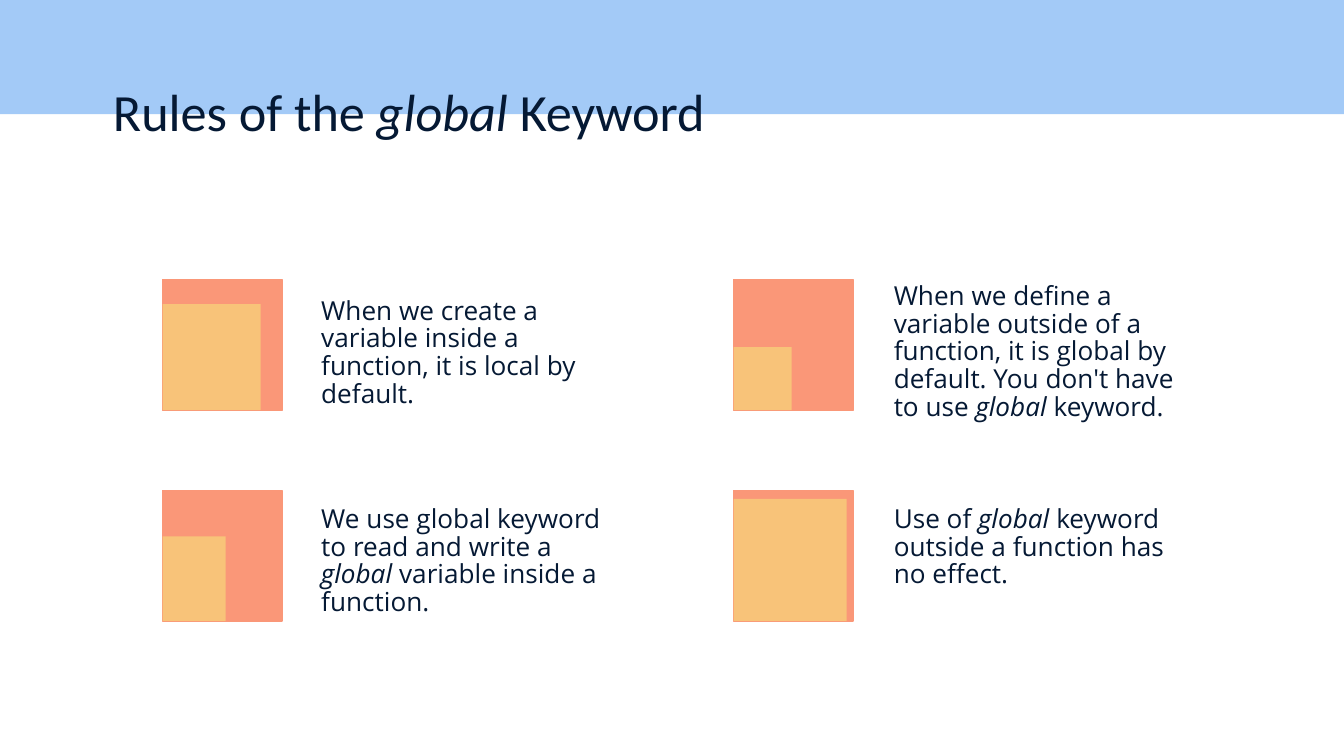
from pptx import Presentation
from pptx.dml.color import RGBColor
from pptx.enum.shapes import MSO_SHAPE as SHAPE
from pptx.enum.text import MSO_ANCHOR as ANCHOR, MSO_AUTO_SIZE as AUTO, PP_ALIGN as ALIGN
from pptx.oxml.ns import qn
from pptx.util import Pt

INK, BAND, CORAL, AMBER = "051934", "A3CAF7", "FA9778", "F8C379"

prs = Presentation()
prs.slide_width, prs.slide_height = Pt(720), Pt(405)
s = prs.slides.add_slide(prs.slide_layouts[4])


def add_rect(x, y, w, h, color, outlined=False):
    """Add a filled rectangle, with a line of the same colour if outlined."""
    sp = s.shapes.add_shape(SHAPE.RECTANGLE, Pt(x), Pt(y), Pt(w), Pt(h))
    sp.shadow.inherit = False
    sp.fill.solid()
    sp.fill.fore_color.rgb = RGBColor.from_string(color)
    if outlined:
        sp.line.color.rgb = RGBColor.from_string(color)
        sp.line.width = Pt(0.75)
    else:
        sp.line.fill.background()
    return sp


def fill_text(sp, box, parts, font, size, spacing=1.0):
    """Place a placeholder and write its parts, every second one in italics."""
    sp.left, sp.top, sp.width, sp.height = map(Pt, box)
    tf = sp.text_frame
    tf.word_wrap, tf.auto_size = True, AUTO.NONE
    tf.vertical_anchor = ANCHOR.TOP
    tf.margin_left = tf.margin_right = tf.margin_top = tf.margin_bottom = Pt(7.2)
    p = tf.paragraphs[0]
    p.alignment, p.line_spacing, p.space_before = ALIGN.LEFT, spacing, Pt(0)
    p.font.name, p.font.size, p.font.bold = font, Pt(size), False
    p.font.color.rgb = RGBColor.from_string(INK)
    for i, part in enumerate(parts):
        r = p.add_run()
        r.text = part
        r.font.name, r.font.size, r.font.bold = font, Pt(size), False
        r.font.color.rgb = RGBColor.from_string(INK)
        r.font.italic = i % 2 == 1
    pPr = p._p.get_or_add_pPr()
    pPr.set("marL", "0")
    pPr.set("indent", "0")
    bullet_none = pPr.makeelement(qn("a:buNone"), {})
    pPr.insert_element_before(bullet_none, "a:tabLst", "a:defRPr", "a:extLst")


band = add_rect(0, 0, 720, 61.2, BAND)
s.shapes._spTree.insert(2, band._element)
fill_text(s.shapes.title, (53.3, 35.3, 556.6, 45.4),
          ["Rules of the ", "global ", "Keyword"], "Calibri", 28)

TILE_W, TILE_H = 64, 70
COLUMNS = [(87.1, 164.9), (393.1, 471.6)]  # tile left, text left
ROWS = [149.8, 262.8]

# column, row, inner width and height, text top and height, text parts
rules = [
    (0, 0, 52.6, 56.9, 152.6, 90.7,
     ["When we create a variable inside a function, it is local by default."]),
    (0, 1, 33.8, 45.4, 264.2, 65.5,
     ["We use global keyword to read and write a ", "global ",
      "variable inside a function."]),
    (1, 0, 31, 33.8, 144.7, 100.1,
     ["When we define a variable outside of a function, it is global by default. "
      "You don't have to use ", "global ", "keyword."]),
    (1, 1, 60.5, 65.5, 264.2, 65.5,
     ["Use of ", "global ", "keyword outside a function has no effect."]),
]
bodies = [ph for ph in s.placeholders if ph.placeholder_format.idx in (1, 2, 3, 4)]
for body, (col, row, w, h, text_top, text_h, parts) in zip(bodies, rules):
    x, text_x = COLUMNS[col]
    y = ROWS[row]
    add_rect(x, y, TILE_W, TILE_H, CORAL, outlined=True)
    add_rect(x, y + TILE_H - h, w, h, AMBER)
    fill_text(body, (text_x, text_top, 172.1, text_h), parts, "Open Sans", 14, 0.88)

prs.save("out.pptx")
